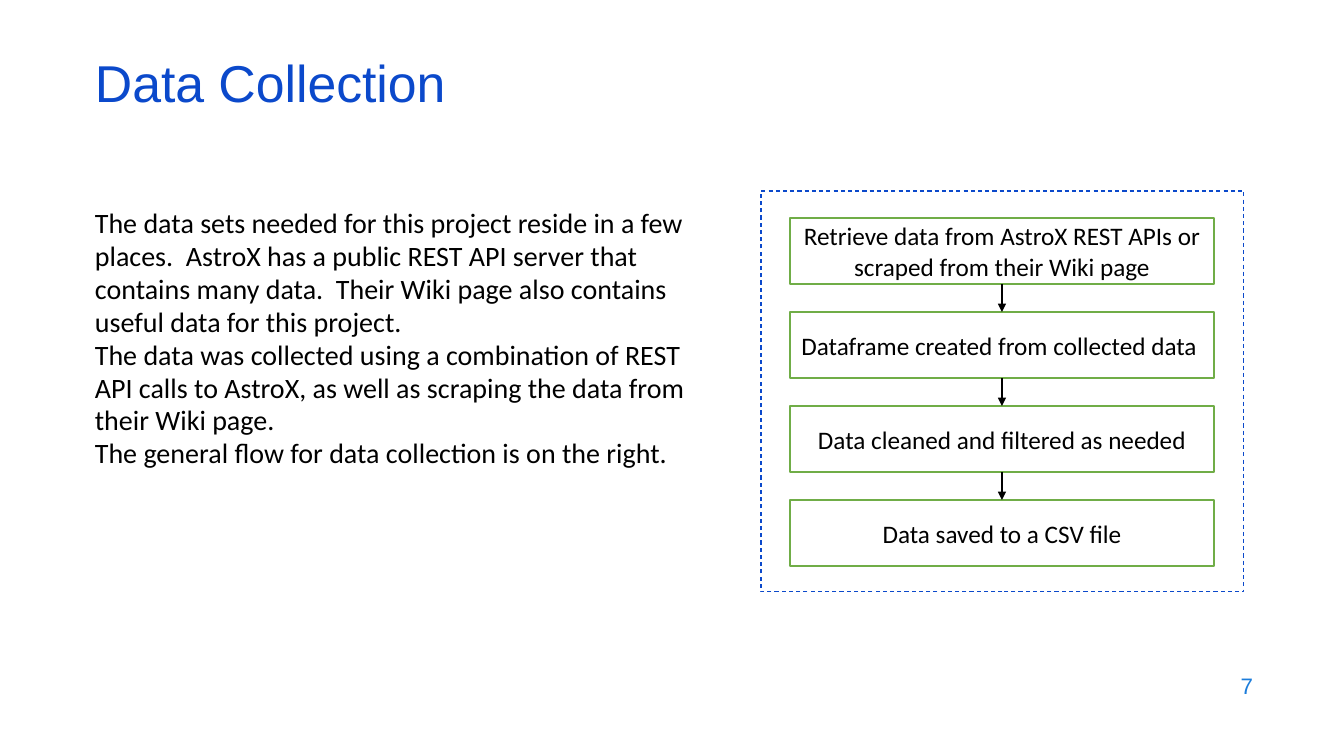
import pptx
import pptx.util
import pptx.dml.color
import pptx.enum.dml
import pptx.enum.shapes
import pptx.enum.text
import pptx.oxml.ns
import lxml.etree

RGBColor = pptx.dml.color.RGBColor
PP_ALIGN = pptx.enum.text.PP_ALIGN
MIDDLE = pptx.enum.text.MSO_ANCHOR.MIDDLE
TOP = pptx.enum.text.MSO_ANCHOR.TOP
RECTANGLE = pptx.enum.shapes.MSO_SHAPE.RECTANGLE

BLUE = RGBColor(0x0B, 0x49, 0xCB)
LIGHT_BLUE = RGBColor(0x1C, 0x7D, 0xDB)
GREEN = RGBColor(0x70, 0xAD, 0x47)
BLACK = RGBColor(0, 0, 0)
WHITE = RGBColor(255, 255, 255)


def px(n):
    return round(n * 914400 / 100.8)


def write(sp, lines, size, font, color, align, anchor, spacing=1.0):
    tf = sp.text_frame
    tf.word_wrap = True
    tf.vertical_anchor = anchor
    tf.text = "\n".join(lines)
    for p in tf.paragraphs:
        p.alignment = align
        p.line_spacing = spacing
        for r in p.runs:
            r.font.size = pptx.util.Pt(size)
            r.font.name = font
            r.font.color.rgb = color


prs = pptx.Presentation()
prs.slide_width, prs.slide_height = px(1344), px(756)
s = prs.slides.add_slide(prs.slide_layouts[6])

# Title, body and slide number
title = s.shapes.add_textbox(px(85), px(59), px(1159), px(60))
write(title, ["Data Collection"], 37, "Arial", BLUE, PP_ALIGN.LEFT, MIDDLE, 0.7)

body = s.shapes.add_textbox(px(85), px(202), px(646), px(480))
write(body, [
    "The data sets needed for this project reside in a few places.  AstroX has a "
    "public REST API server that contains many data.  Their Wiki page also "
    "contains useful data for this project.",
    "The data was collected using a combination of REST API calls to AstroX, as "
    "well as scraping the data from their Wiki page.",
    "The general flow for data collection is on the right.",
], 20, "Calibri", BLACK, PP_ALIGN.LEFT, TOP, 0.98)

number = s.shapes.add_textbox(px(961), px(664), px(302), px(44))
write(number, ["7"], 16, "Arial", LIGHT_BLUE, PP_ALIGN.RIGHT, MIDDLE)

# Dashed frame around the flow
frame = s.shapes.add_shape(RECTANGLE, px(761), px(191), px(483), px(401))
frame.shadow.inherit = False
frame.fill.background()
frame.line.color.rgb = BLUE
frame.line.width = pptx.util.Pt(0.75)
frame.line.dash_style = pptx.enum.dml.MSO_LINE.DASH

# Flow steps, each joined to the one above by an arrow
STEPS = [
    "Retrieve data from AstroX REST APIs or scraped from their Wiki page",
    "Dataframe created from collected data ",
    "Data cleaned and filtered as needed",
    "Data saved to a CSV file",
]
STEP_X, STEP_Y, STEP_W, STEP_H, PITCH = 790, 218, 424, 66, 94
previous = None
for i, step in enumerate(STEPS):
    sp = s.shapes.add_shape(RECTANGLE, px(STEP_X), px(STEP_Y + i * PITCH),
                            px(STEP_W), px(STEP_H))
    sp.shadow.inherit = False
    sp.fill.solid()
    sp.fill.fore_color.rgb = WHITE
    sp.line.color.rgb = GREEN
    sp.line.width = pptx.util.Pt(1)
    write(sp, [step], 18, "Calibri", BLACK, PP_ALIGN.CENTER, MIDDLE)
    if previous is not None:
        arrow = s.shapes.add_connector(
            pptx.enum.shapes.MSO_CONNECTOR.STRAIGHT, 0, 0, 0, 0)
        arrow.begin_connect(previous, 2)
        arrow.end_connect(sp, 0)
        arrow.line.color.rgb = BLACK
        arrow.line.width = pptx.util.Pt(1.5)
        ln = arrow.line._get_or_add_ln()
        lxml.etree.SubElement(ln, pptx.oxml.ns.qn("a:tailEnd"), type="triangle")
        lxml.etree.SubElement(arrow._element.spPr, pptx.oxml.ns.qn("a:effectLst"))
    previous = sp

prs.save("out.pptx")
